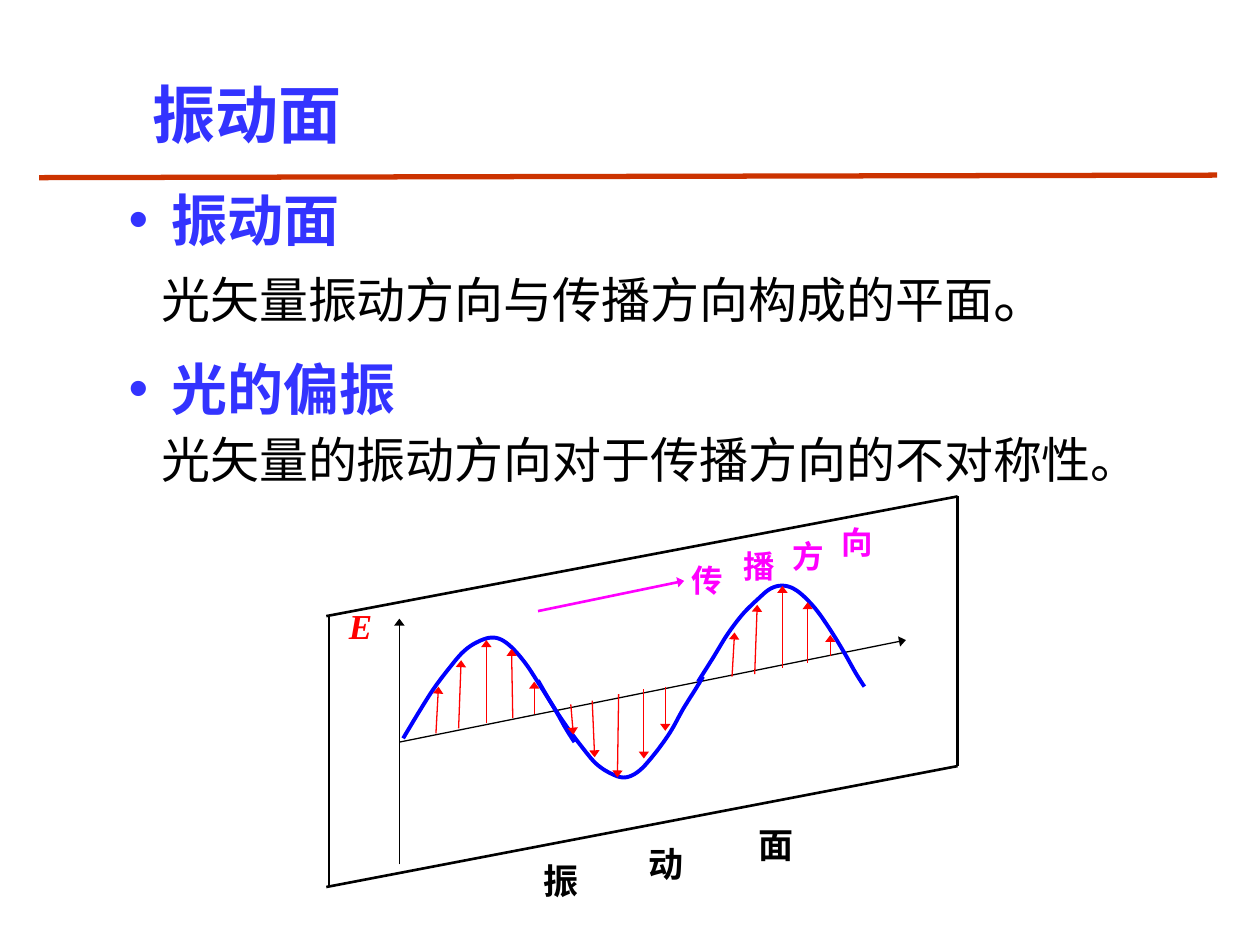
from dataclasses import dataclass

from lxml.etree import SubElement
from pptx import Presentation
from pptx.dml.color import RGBColor
from pptx.enum.shapes import MSO_CONNECTOR as Connector
from pptx.enum.text import MSO_ANCHOR as Anchor, MSO_AUTO_SIZE as AutoSize, PP_ALIGN as Align
from pptx.oxml.ns import qn
from pptx.util import Emu, Pt

EMU_PER_PX = 9144
CURVE_STEPS = 7
CJK_FONT = "Noto Sans CJK SC"
LATIN_FONT = "Times New Roman"
COLORS = {
    "heading": "3333FF",
    "text": "000000",
    "rule": "CC3300",
    "wave": "0000FF",
    "field": "FF0000",
    "direction": "FF00FF",
}

Point = tuple[int, int]


@dataclass(frozen=True)
class Line:
    start: Point
    end: Point
    color: str = "text"
    width: float = 1.5
    arrow: bool = False


@dataclass(frozen=True)
class Label:
    text: str
    left: int
    top: int
    color: str
    size: int = 18
    italic: bool = False


@dataclass(frozen=True)
class Section:
    box: tuple[int, int, int, int]
    heading: str
    sentence: str
    stop_size: int
    gap: float


FRAME_AND_AXES = [
    Line((261, 489), (261, 704)),
    Line((760, 394), (760, 608)),
    Line((259, 489), (760, 394)),
    Line((259, 704), (760, 608)),
    Line((317, 686), (317, 491), width=0.75, arrow=True),
    Line((317, 589), (719, 508), width=0.75, arrow=True),
    Line((427, 485), (543, 461), "direction", arrow=True),
]
FIELD_ARROWS = [
    ((346, 582), (348, 545)), ((364, 578), (366, 524)), ((386, 574), (386, 508)),
    ((407, 570), (406, 515)), ((424, 567), (424, 541)),
    ((453, 559), (455, 583)), ((470, 556), (472, 601)), ((491, 551), (490, 617)),
    ((511, 547), (511, 602)), ((528, 545), (528, 580)),
    ((581, 537), (583, 502)), ((599, 535), (601, 480)), ((621, 530), (621, 465)),
    ((641, 526), (641, 478)), ((659, 521), (659, 504)),
]
WAVES = [
    [(320, 586), (332, 566), (344, 547), (356, 531), (368, 517), (380, 509), (392, 506),
     (403, 511), (416, 525), (428, 543), (440, 562), (449, 578), (456, 589)],
    [(427, 540), (438, 559), (450, 577), (462, 593), (473, 606), (485, 614), (496, 617),
     (507, 612), (519, 599), (532, 581), (542, 563), (552, 547), (558, 537)],
    [(554, 541), (566, 522), (577, 504), (589, 488), (601, 476), (612, 467), (623, 465),
     (634, 470), (647, 483), (659, 500), (670, 518), (679, 534), (686, 545)],
]
LABELS = [
    Label("E", 276, 479, "field", 20, True),
    Label("传", 548, 444, "direction"),
    Label("播", 589, 433, "direction"),
    Label("方", 628, 425, "direction"),
    Label("向", 667, 414, "direction"),
    Label("振", 430, 681, "text", 20),
    Label("动", 514, 668, "text", 20),
    Label("面", 601, 653, "text", 20),
]
SECTIONS = [
    Section((92, 142, 796, 125), "振动面", "光矢量振动方向与传播方向构成的平面", 32, 5.5),
    Section((92, 276, 874, 118), "光的偏振", "光矢量的振动方向对于传播方向的不对称性", 28, 5),
]


def px(length: float) -> Emu:
    return Emu(round(length * EMU_PER_PX))


def rgb(color: str) -> RGBColor:
    return RGBColor.from_string(COLORS[color])


def add_text(paragraph, text: str, *, size: int, color: str = "text", bold: bool = False,
             italic: bool = False, font: str = CJK_FONT) -> None:
    run = paragraph.add_run()
    run.text = text
    run.font.name = font
    run.font.size = Pt(size)
    run.font.bold = bold
    run.font.italic = italic
    run.font.color.rgb = rgb(color)
    SubElement(run.font._element, qn("a:ea"), typeface=CJK_FONT)


def format_paragraph(paragraph, *, before: float = 0, margin: int = 0, bullet: str = "") -> None:
    paragraph.alignment = Align.LEFT
    paragraph.line_spacing = 1.0
    paragraph.space_before = Pt(before)
    properties = paragraph._p.get_or_add_pPr()
    properties.set("marL", str(px(margin)))
    properties.set("indent", str(-px(margin) if bullet else 0))
    if bullet:
        bullet_color = SubElement(properties, qn("a:buClr"))
        SubElement(bullet_color, qn("a:srgbClr"), val=COLORS["heading"])
        SubElement(properties, qn("a:buChar"), char=bullet)
    else:
        SubElement(properties, qn("a:buNone"))


def prepare_frame(shape, inset_x: int, inset_y: int):
    frame = shape.text_frame
    frame.word_wrap = True
    frame.auto_size = AutoSize.NONE
    frame.vertical_anchor = Anchor.TOP
    frame.margin_left = frame.margin_right = px(inset_x)
    frame.margin_top = frame.margin_bottom = px(inset_y)
    return frame


def place(shape, left: int, top: int, width: int, height: int) -> None:
    shape.left, shape.top = px(left), px(top)
    shape.width, shape.height = px(width), px(height)


def draw_line(shapes, line: Line) -> None:
    connector = shapes.add_connector(Connector.STRAIGHT, *map(px, line.start + line.end))
    connector.line.color.rgb = rgb(line.color)
    connector.line.width = Pt(line.width)
    if line.arrow:
        SubElement(connector.line._get_or_add_ln(), qn("a:tailEnd"),
                   type="triangle", w="med", len="sm")
    SubElement(connector._element.spPr, qn("a:effectLst"))


def smooth_points(anchors: list[Point]) -> list[tuple[float, float]]:
    padded = [anchors[0], *anchors, anchors[-1]]
    points = []
    for a, b, c, d in zip(padded, padded[1:], padded[2:], padded[3:]):
        for step in range(1, CURVE_STEPS + 1):
            t = step / CURVE_STEPS
            points.append(tuple(
                q + (r - p) * t / 2 + (2 * p - 5 * q + 4 * r - s) * t**2 / 2
                + (3 * q - p - 3 * r + s) * t**3 / 2
                for p, q, r, s in zip(a, b, c, d)
            ))
    return points


def draw_wave(shapes, anchors: list[Point]) -> None:
    builder = shapes.build_freeform(*map(px, anchors[0]), scale=1.0)
    builder.add_line_segments([(px(x), px(y)) for x, y in smooth_points(anchors)], close=False)
    wave = builder.convert_to_shape()
    wave.shadow.inherit = False
    wave.fill.background()
    wave.line.color.rgb = rgb("wave")
    wave.line.width = Pt(2.25)


def draw_label(shapes, label: Label) -> None:
    box = shapes.add_textbox(px(label.left), px(label.top), px(52), px(44))
    paragraph = prepare_frame(box, 1, 1).paragraphs[0]
    format_paragraph(paragraph)
    add_text(paragraph, label.text, size=label.size, color=label.color, bold=True,
             italic=label.italic, font=LATIN_FONT)


def fill_section(placeholder, section: Section) -> None:
    place(placeholder, *section.box)
    frame = prepare_frame(placeholder, 10, 5)
    heading = frame.paragraphs[0]
    format_paragraph(heading, margin=34, bullet="•")
    add_text(heading, section.heading, size=32, color="heading", bold=True)
    sentence = frame.add_paragraph()
    format_paragraph(sentence, before=section.gap, margin=26)
    add_text(sentence, section.sentence, size=28)
    add_text(sentence, "。", size=section.stop_size)


def main() -> None:
    presentation = Presentation()
    presentation.slide_width, presentation.slide_height = px(1000), px(750)
    slide = presentation.slides.add_slide(presentation.slide_layouts[3])
    title = slide.shapes.title
    place(title, 111, 55, 784, 70)
    heading = prepare_frame(title, 10, 5).paragraphs[0]
    format_paragraph(heading)
    add_text(heading, "振动面", size=36, color="heading", bold=True)
    for index, section in enumerate(SECTIONS, start=1):
        fill_section(slide.placeholders[index], section)
    for placeholder in list(slide.placeholders):
        if not placeholder.text_frame.text:
            placeholder._element.getparent().remove(placeholder._element)
    draw_line(slide.shapes, Line((31, 141), (966, 139), "rule", 3))

    diagram = slide.shapes.add_group_shape().shapes
    for line in FRAME_AND_AXES:
        draw_line(diagram, line)
    for wave in WAVES:
        draw_wave(diagram, wave)
    for base, tip in FIELD_ARROWS:
        draw_line(diagram, Line(base, tip, "field", 0.75, True))
    for label in LABELS:
        draw_label(diagram, label)
    presentation.save("out.pptx")


if __name__ == "__main__":
    main()
